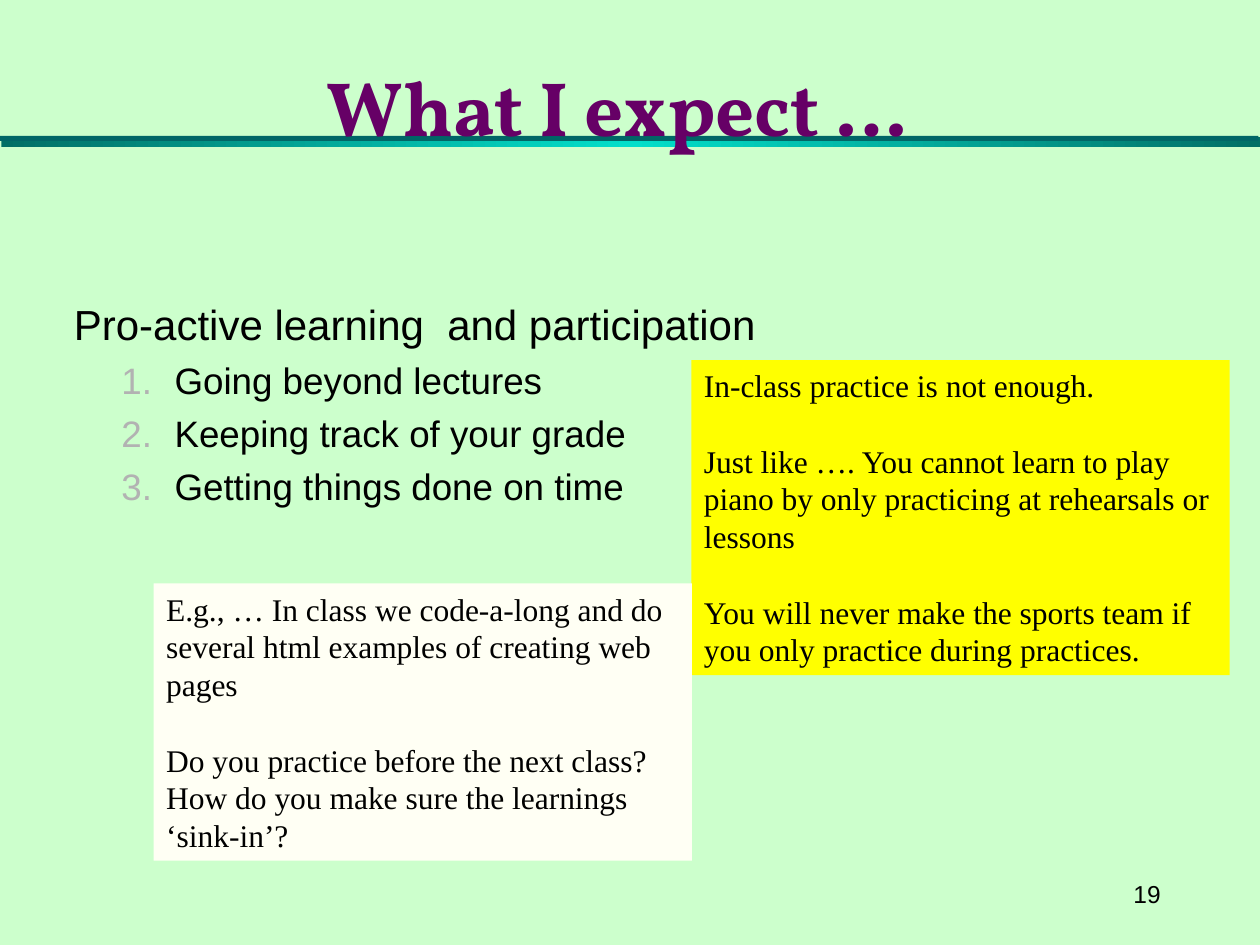
from copy import deepcopy

from pptx import Presentation
from pptx.dml.color import RGBColor
from pptx.enum.shapes import MSO_SHAPE
from pptx.enum.text import MSO_ANCHOR, PP_ALIGN
from pptx.oxml.ns import qn
from pptx.oxml.xmlchemy import OxmlElement
from pptx.util import Cm, Pt

COLORS = {
    "background": "CCFFCC", "title": "660066", "text": "000000",
    "number": "B2B2B2", "rule": "006666", "rule_edge": "006F65",
    "rule_center": "00DFCA", "yellow": "FFFF00", "ivory": "FFFFF4",
}


def rgb(name):
    return RGBColor.from_string(COLORS[name])


class SlideBuilder:
    """Holds the slide and its style, with a method for each kind of element."""

    body_font, note_font, title_font = "Arial", "Times New Roman", "Vollkorn"

    def __init__(self, prs):
        self.s = prs.slides.add_slide(prs.slide_layouts[6])
        fill = self.s.background.fill
        fill.solid()
        fill.fore_color.rgb = rgb("background")

    def rect(self, box, color):
        sp = self.s.shapes.add_shape(MSO_SHAPE.RECTANGLE, *map(Cm, box))
        sp.shadow.inherit = False
        sp.line.fill.background()
        sp.fill.solid()
        sp.fill.fore_color.rgb = rgb(color)
        return sp

    def gradient_rule(self, box, colors):
        sp = self.rect(box, colors[0])
        sp.fill.gradient()
        sp.fill.gradient_angle = 0
        gs_lst = sp._element.spPr.find(qn("a:gradFill")).find(qn("a:gsLst"))
        gs_lst.append(deepcopy(gs_lst[-1]))
        for i, (stop, color) in enumerate(zip(sp.fill.gradient_stops, colors)):
            stop.position = i / (len(colors) - 1)
            stop.color.rgb = rgb(color)

    def style(self, p, font, size, color="text", bold=False, align=PP_ALIGN.LEFT):
        p.alignment = align
        for r in p.runs:
            r.font.name, r.font.size, r.font.bold = font, Pt(size), bold
            r.font.color.rgb = rgb(color)

    def text(self, box, text, font, size, anchor=MSO_ANCHOR.TOP, **style):
        tf = self.s.shapes.add_textbox(*map(Cm, box)).text_frame
        tf.word_wrap = True
        tf.vertical_anchor = anchor
        tf.text = text
        self.style(tf.paragraphs[0], font, size, **style)
        return tf

    def numbered(self, tf, items):
        for item in items:
            p = tf.add_paragraph()
            p.text = item
            p.level = 1
            p.space_before = Pt(5.2)
            self.style(p, self.body_font, 21)
            pPr = p._p.get_or_add_pPr()
            pPr.set("marL", str(Cm(2.03)))
            pPr.set("indent", str(Cm(-1.07)))
            bu_clr = OxmlElement("a:buClr")
            clr = OxmlElement("a:srgbClr")
            clr.set("val", COLORS["number"])
            bu_clr.append(clr)
            bu_num = OxmlElement("a:buAutoNum")
            bu_num.set("type", "arabicPeriod")
            pPr.extend([bu_clr, bu_num])

    def note(self, box, color, paragraphs):
        tf = self.rect(box, color).text_frame
        tf.word_wrap = True
        tf.vertical_anchor = MSO_ANCHOR.TOP
        tf.text = "\n".join(paragraphs)
        for i, p in enumerate(tf.paragraphs):
            p.space_before = Pt(21.5 if i else 0)
            self.style(p, self.note_font, 18)


def main():
    prs = Presentation()
    prs.slide_width, prs.slide_height = Cm(25.4), Cm(19.05)
    b = SlideBuilder(prs)
    b.gradient_rule((0.03, 2.77, 25.37, 0.2), ["rule_edge", "rule_center", "rule_edge"])
    b.rect((0, 2.74, 25.37, 0.1), "rule")
    b.text((20.88, 17.6, 2.77, 0.84), "19", b.body_font, 14,
           anchor=MSO_ANCHOR.MIDDLE, align=PP_ALIGN.RIGHT)
    b.text((1.7, 0, 21.79, 3.18), "What I expect … ", b.title_font, 44,
           anchor=MSO_ANCHOR.BOTTOM, color="title", bold=True, align=PP_ALIGN.CENTER)
    tf = b.text((1.24, 5.89, 21.89, 9.07), "Pro-active learning  and participation",
                b.body_font, 24)
    tf.paragraphs[0].space_before = Pt(6)
    b.numbered(tf, ["Going beyond lectures", "Keeping track of your grade",
                    "Getting things done on time"])
    b.note((13.94, 7.26, 10.85, 6.35), "yellow", [
        "In-class practice is not enough.",
        "Just like …. You cannot learn to play piano by only practicing at rehearsals or lessons",
        "You will never make the sports team if you only practice during practices.",
    ])
    b.note((3.1, 11.76, 10.85, 5.59), "ivory", [
        "E.g., … In class we code-a-long and do several html examples of creating web pages",
        "Do you practice before the next class? How do you make sure the learnings ‘sink-in’?",
    ])
    prs.save("out.pptx")


if __name__ == "__main__":
    main()
